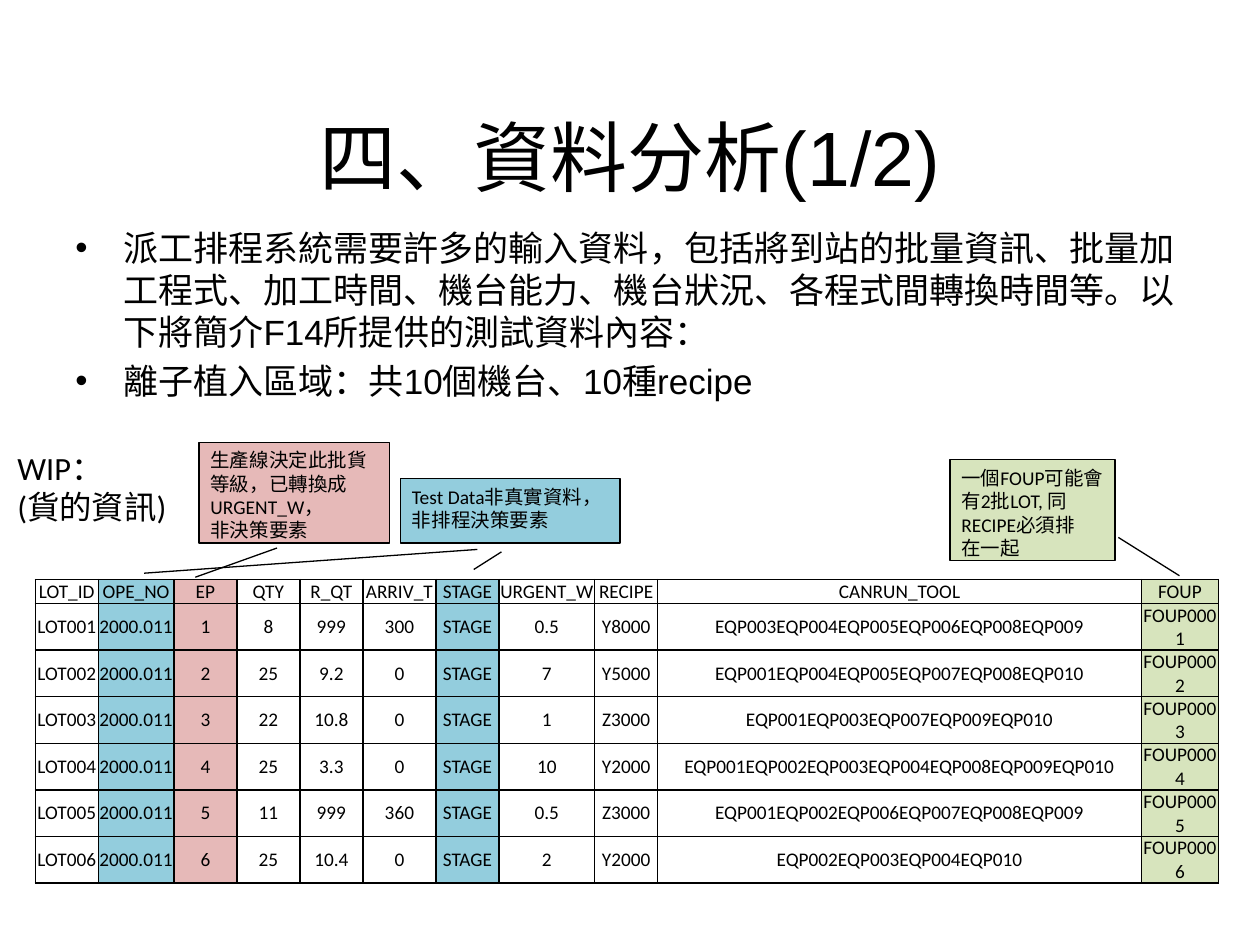
from lxml import etree
from pptx import Presentation
from pptx import util as u
from pptx.dml.color import RGBColor
from pptx.enum import shapes, text
from pptx.oxml.ns import qn

BLACK, BLUE, PINK, GREEN = "000000", "93CDDD", "E6B9B8", "D7E4BD"


def color(value):
    """Turn a hex string into a colour."""
    return RGBColor.from_string(value)


def child(parent, tag, **attributes):
    """Append an XML element with attributes."""
    element = etree.SubElement(parent, qn(tag))
    for key, value in attributes.items():
        element.set(key, str(value))
    return element


class SlideBuilder:
    """Holds the style and the current slide."""

    heading_font = "Arial"
    detail_font = "Calibri"
    line_width = u.Pt(0.75)

    def __init__(self, presentation):
        """Add a title-only slide."""
        self.slide = presentation.slides.add_slide(presentation.slide_layouts[5])

    def place(self, box):
        """Convert left, top, width and height to lengths."""
        return [u.Inches(value) for value in box]

    def add_lines(self, frame, lines, size, font, align=text.PP_ALIGN.LEFT):
        """Add each line as a paragraph with one run."""
        for index, line in enumerate(lines):
            paragraph = frame.paragraphs[0] if index == 0 else frame.add_paragraph()
            paragraph.alignment = align
            run = paragraph.add_run()
            run.text = line
            run.font.size = u.Pt(size)
            run.font.name = font
            run.font.color.rgb = color(BLACK)

    def title(self, line, box):
        """Move and fill the title placeholder."""
        shape = self.slide.shapes.title
        shape.left, shape.top, shape.width, shape.height = self.place(box)
        shape.text_frame.vertical_anchor = text.MSO_ANCHOR.MIDDLE
        self.add_lines(shape.text_frame, [line], 44, self.heading_font,
                       text.PP_ALIGN.CENTER)

    def text_box(self, lines, box, size, font):
        """Add a wrapping text box and return its frame."""
        frame = self.slide.shapes.add_textbox(*self.place(box)).text_frame
        frame.word_wrap = True
        self.add_lines(frame, lines, size, font)
        return frame

    def bullets(self, lines, box, size=20):
        """Add a bulleted list with hanging indents."""
        frame = self.text_box(lines, box, size, self.heading_font)
        for paragraph in frame.paragraphs:
            paragraph.space_before = u.Pt(size * 0.2)
            properties = paragraph._p.get_or_add_pPr()
            indent = u.Inches(0.38)
            properties.set("marL", str(indent))
            properties.set("indent", str(-indent))
            child(properties, "a:buFont", typeface=self.heading_font)
            child(properties, "a:buChar", char="•")

    def callout(self, lines, box, fill, pointer):
        """Add a filled callout with a pointer line."""
        shape = self.slide.shapes.add_shape(
            shapes.MSO_SHAPE.LINE_CALLOUT_1, *self.place(box))
        shape.shadow.inherit = False
        for index, value in enumerate(pointer):
            shape.adjustments[index] = value
        shape.fill.solid()
        shape.fill.fore_color.rgb = color(fill)
        shape.line.color.rgb = color(BLACK)
        shape.line.width = self.line_width
        frame = shape.text_frame
        frame.word_wrap = True
        frame.margin_left, frame.margin_right = u.Inches(0.09), 0
        frame.vertical_anchor = text.MSO_ANCHOR.TOP
        self.add_lines(frame, lines, 11.1, self.detail_font)

    def line(self, start, end):
        """Add a straight line."""
        connector = self.slide.shapes.add_connector(
            shapes.MSO_CONNECTOR.STRAIGHT, *self.place(start + end))
        connector.line.color.rgb = color(BLACK)
        connector.line.width = self.line_width
        child(connector._element.spPr, "a:effectLst")

    def cell(self, cell, value, fill):
        """Fill one bordered table cell."""
        cell.margin_left = cell.margin_right = cell.margin_top = cell.margin_bottom = 0
        cell.vertical_anchor = text.MSO_ANCHOR.MIDDLE
        self.add_lines(cell.text_frame, [value], 11, self.detail_font,
                       text.PP_ALIGN.CENTER)
        properties = cell._tc.get_or_add_tcPr()
        for side in ("a:lnL", "a:lnR", "a:lnT", "a:lnB"):
            border = child(properties, side, w=u.Pt(1))
            child(child(border, "a:solidFill"), "a:srgbClr", val=BLACK)
        if fill:
            cell.fill.solid()
            cell.fill.fore_color.rgb = color(fill)
        else:
            cell.fill.background()

    def table(self, rows, box, widths, heights, fills):
        """Add a table whose columns may be coloured by heading."""
        table = self.slide.shapes.add_table(
            len(rows), len(widths), *self.place(box)).table
        table.first_row = table.horz_banding = False
        for column, width in zip(table.columns, widths):
            column.width = u.Inches(width)
        for row, height in zip(table.rows, heights):
            row.height = u.Inches(height)
        for row_index, row in enumerate(rows):
            for index, (heading, value) in enumerate(zip(rows[0], row)):
                self.cell(table.cell(row_index, index), value, fills.get(heading))


def lot_rows():
    """Build the header and one row for each lot."""
    header = ["LOT_ID", "OPE_NO", "EP", "QTY", "R_QT", "ARRIV_T", "STAGE",
              "URGENT_W", "RECIPE", "CANRUN_TOOL", "FOUP"]
    lots = [
        ("8", "999", "300", "0.5", "Y8000", (3, 4, 5, 6, 8, 9)),
        ("25", "9.2", "0", "7", "Y5000", (1, 4, 5, 7, 8, 10)),
        ("22", "10.8", "0", "1", "Z3000", (1, 3, 7, 9, 10)),
        ("25", "3.3", "0", "10", "Y2000", (1, 2, 3, 4, 8, 9, 10)),
        ("11", "999", "360", "0.5", "Z3000", (1, 2, 6, 7, 8, 9)),
        ("25", "10.4", "0", "2", "Y2000", (2, 3, 4, 10)),
    ]
    rows = [header]
    for number, (quantity, queue, arrival, urgency, recipe, tools) in enumerate(lots, 1):
        rows.append([f"LOT{number:03}", "2000.011", str(number), quantity, queue,
                     arrival, "STAGE", urgency, recipe,
                     "".join(f"EQP{tool:03}" for tool in tools), f"FOUP{number:04}"])
    return rows


def main():
    """Build and save the slide."""
    presentation = Presentation()
    presentation.slide_width, presentation.slide_height = u.Inches(10), u.Inches(7.5)
    builder = SlideBuilder(presentation)
    builder.title("四、資料分析(1/2)", (0.5, 0.61, 9, 1.25))
    builder.bullets([
        "派工排程系統需要許多的輸入資料，包括將到站的批量資訊、批量加工程式、加工時間、"
        "機台能力、機台狀況、各程式間轉換時間等。以下將簡介F14所提供的測試資料內容：",
        "離子植入區域：共10個機台、10種recipe",
    ], (0.5, 1.75, 9, 4.95))
    builder.table(
        lot_rows(), (0.28, 4.6, 9.38, 2.43),
        [0.5, 0.6, 0.5, 0.5, 0.5, 0.58, 0.5, 0.76, 0.5, 3.84, 0.61],
        [0.19] + [0.37] * 6,
        {"OPE_NO": BLUE, "EP": PINK, "STAGE": BLUE, "FOUP": GREEN})
    builder.callout(["一個FOUP可能會", "有2批LOT, 同", "RECIPE必須排", "在一起"],
                    (7.54, 3.65, 1.31, 0.8), GREEN, (0.77, 1.02, 1.15, 1.39))
    builder.callout(["Test Data非真實資料，", "非排程決策要素"],
                    (3.18, 3.8, 1.74, 0.51), BLUE, (1.1, 0.35, 1.47, -1.17))
    builder.line((3.76, 4.52), (3.98, 4.38))
    builder.callout(["生產線決定此批貨", "等級，已轉換成", "URGENT_W，", "非決策要素"],
                    (1.58, 3.51, 1.51, 0.8), PINK, (1.05, 0.41, 1.34, -0.02))
    builder.text_box(["WIP：", "(貨的資訊)"], (0.04, 3.51, 1.4, 0.72),
                     18.5, builder.detail_font)
    presentation.save("out.pptx")


main()
